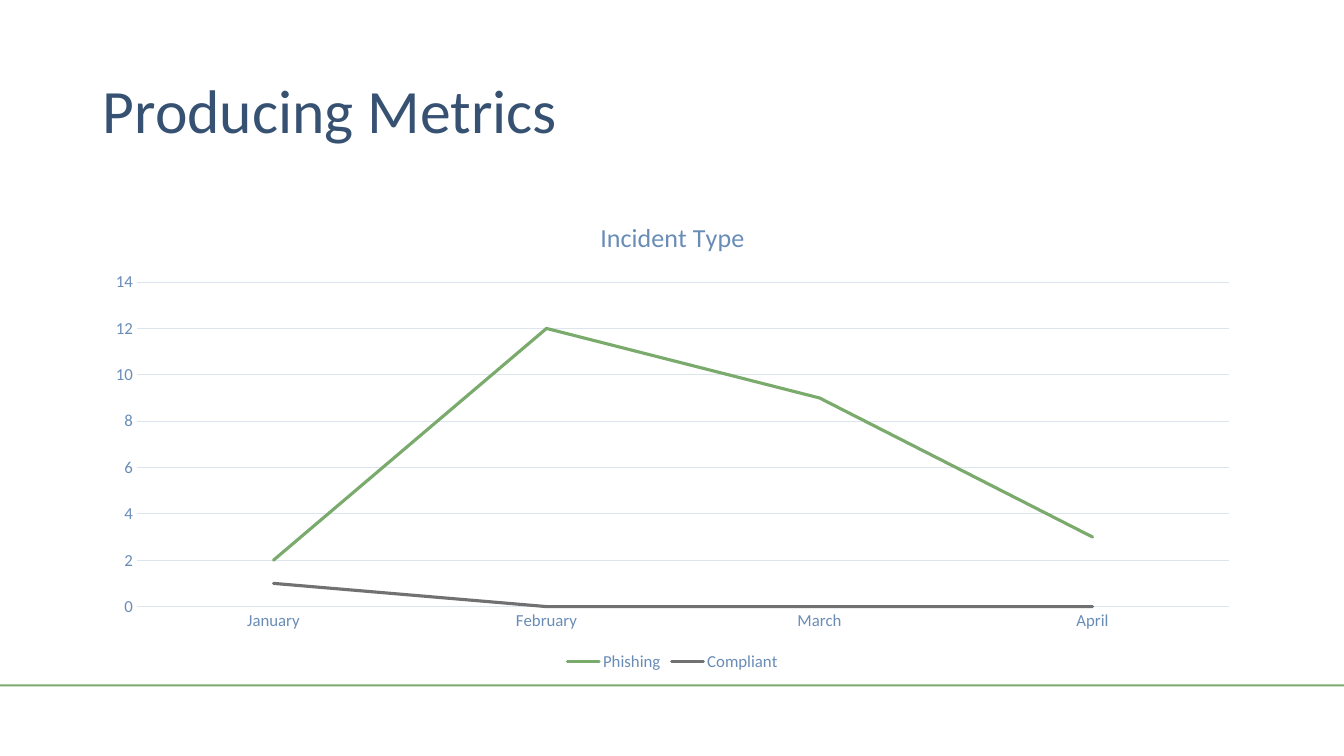
from dataclasses import dataclass

from lxml.etree import SubElement
from pptx import Presentation
from pptx.chart.chart import Chart
from pptx.chart.data import CategoryChartData
from pptx.dml.color import RGBColor
from pptx.dml.line import LineFormat
from pptx.enum.chart import XL_CHART_TYPE as ChartType
from pptx.enum.chart import XL_LEGEND_POSITION as LegendPosition
from pptx.enum.chart import XL_TICK_MARK as TickMark
from pptx.enum.shapes import MSO_SHAPE as ShapeType
from pptx.enum.text import MSO_ANCHOR as Anchor
from pptx.enum.text import MSO_AUTO_SIZE as AutoSize
from pptx.enum.text import PP_ALIGN as Align
from pptx.oxml.ns import qn
from pptx.slide import Slide
from pptx.text.text import Font
from pptx.util import Inches, Pt

COLORS = {
    "background": "FFFFFF",
    "title": "375172",
    "label": "698CB7",
    "grid": "DCE4EE",
    "green": "7AAB6D",
    "grey": "717171",
}
FONT_NAME = "Calibri"
SLIDE_WIDTH = 13.33
CONTENT_LEFT, CONTENT_WIDTH = 0.92, 11.5
MONTHS = ["January", "February", "March", "April"]


@dataclass
class IncidentSeries:
    name: str
    values: list[int]
    color: str


INCIDENTS = [
    IncidentSeries("Phishing", [2, 12, 9, 3], "green"),
    IncidentSeries("Compliant", [1, 0, 0, 0], "grey"),
]


def rgb(color: str) -> RGBColor:
    return RGBColor.from_string(COLORS[color])


def format_font(font: Font, size: float, color: str) -> None:
    font.name = FONT_NAME
    font.size = Pt(size)
    font.bold = False
    font.color.rgb = rgb(color)


def format_line(line: LineFormat, width: float, color: str) -> None:
    line.width = Pt(width)
    line.color.rgb = rgb(color)


def add_footer_rule(slide: Slide) -> None:
    rule = slide.shapes.add_shape(
        ShapeType.RECTANGLE, Inches(0), Inches(6.79), Inches(SLIDE_WIDTH), Inches(0.02)
    )
    rule.shadow.inherit = False
    rule.fill.solid()
    rule.fill.fore_color.rgb = rgb("green")
    rule.line.fill.background()


def set_title(slide: Slide, text: str) -> None:
    title = slide.shapes.title
    title.left, title.top = Inches(CONTENT_LEFT), Inches(0.4)
    title.width, title.height = Inches(CONTENT_WIDTH), Inches(1.45)
    frame = title.text_frame
    frame.text = text
    frame.word_wrap = True
    frame.auto_size = AutoSize.NONE
    frame.vertical_anchor = Anchor.MIDDLE
    paragraph = frame.paragraphs[0]
    paragraph.alignment = Align.LEFT
    paragraph.line_spacing = 0.9
    format_font(paragraph.runs[0].font, 44, "title")


def format_axes(chart: Chart) -> None:
    for axis in (chart.category_axis, chart.value_axis):
        axis.major_tick_mark = axis.minor_tick_mark = TickMark.NONE
        format_font(axis.tick_labels.font, 12, "label")
    format_line(chart.category_axis.format.line, 0.75, "grid")

    value_axis = chart.value_axis
    value_axis.minimum_scale, value_axis.maximum_scale = 0, 14
    value_axis.major_unit = 2
    value_axis.format.line.fill.background()
    format_line(value_axis.major_gridlines.format.line, 0.75, "grid")


def add_incident_chart(slide: Slide) -> None:
    data = CategoryChartData(number_format="General")
    data.categories = MONTHS
    for incident in INCIDENTS:
        data.add_series(incident.name, incident.values)
    chart = slide.shapes.add_chart(
        ChartType.LINE, Inches(CONTENT_LEFT), Inches(1.98),
        Inches(CONTENT_WIDTH), Inches(4.72), data,
    ).chart
    format_font(chart.font, 10, "title")

    # Chart title and legend
    chart.has_title = True
    title_frame = chart.chart_title.text_frame
    title_frame.text = "Incident Type"
    format_font(title_frame.paragraphs[0].runs[0].font, 18.6, "label")
    chart.chart_title.include_in_layout = False
    chart.has_legend = True
    chart.legend.position = LegendPosition.BOTTOM
    chart.legend.include_in_layout = False
    format_font(chart.legend.font, 12, "label")

    # Axes and series
    format_axes(chart)
    plot = chart.plots[0]
    plot.vary_by_categories = False
    for series, incident in zip(plot.series, INCIDENTS):
        series.smooth = False
        format_line(series.format.line, 2.25, incident.color)
        line_element = series.format.line.fill._xPr
        line_element.set("cap", "rnd")
        SubElement(line_element, qn("a:round"))


def main() -> None:
    presentation = Presentation()
    presentation.slide_width = Inches(SLIDE_WIDTH)
    presentation.slide_height = Inches(7.5)
    slide = presentation.slides.add_slide(presentation.slide_layouts.get_by_name("Title Only"))
    slide.background.fill.solid()
    slide.background.fill.fore_color.rgb = rgb("background")

    add_footer_rule(slide)
    set_title(slide, "Producing Metrics")
    add_incident_chart(slide)
    presentation.save("out.pptx")


if __name__ == "__main__":
    main()
